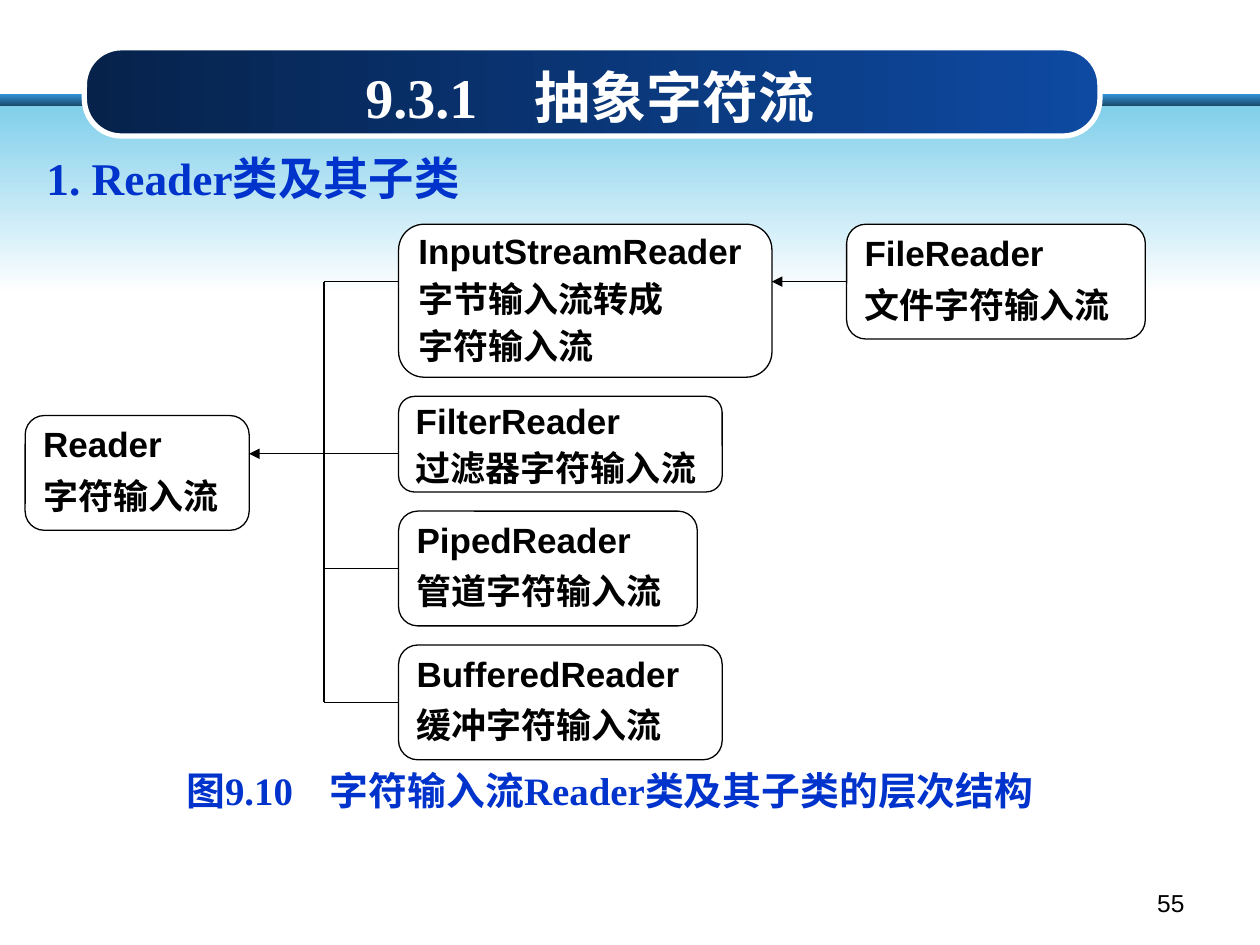
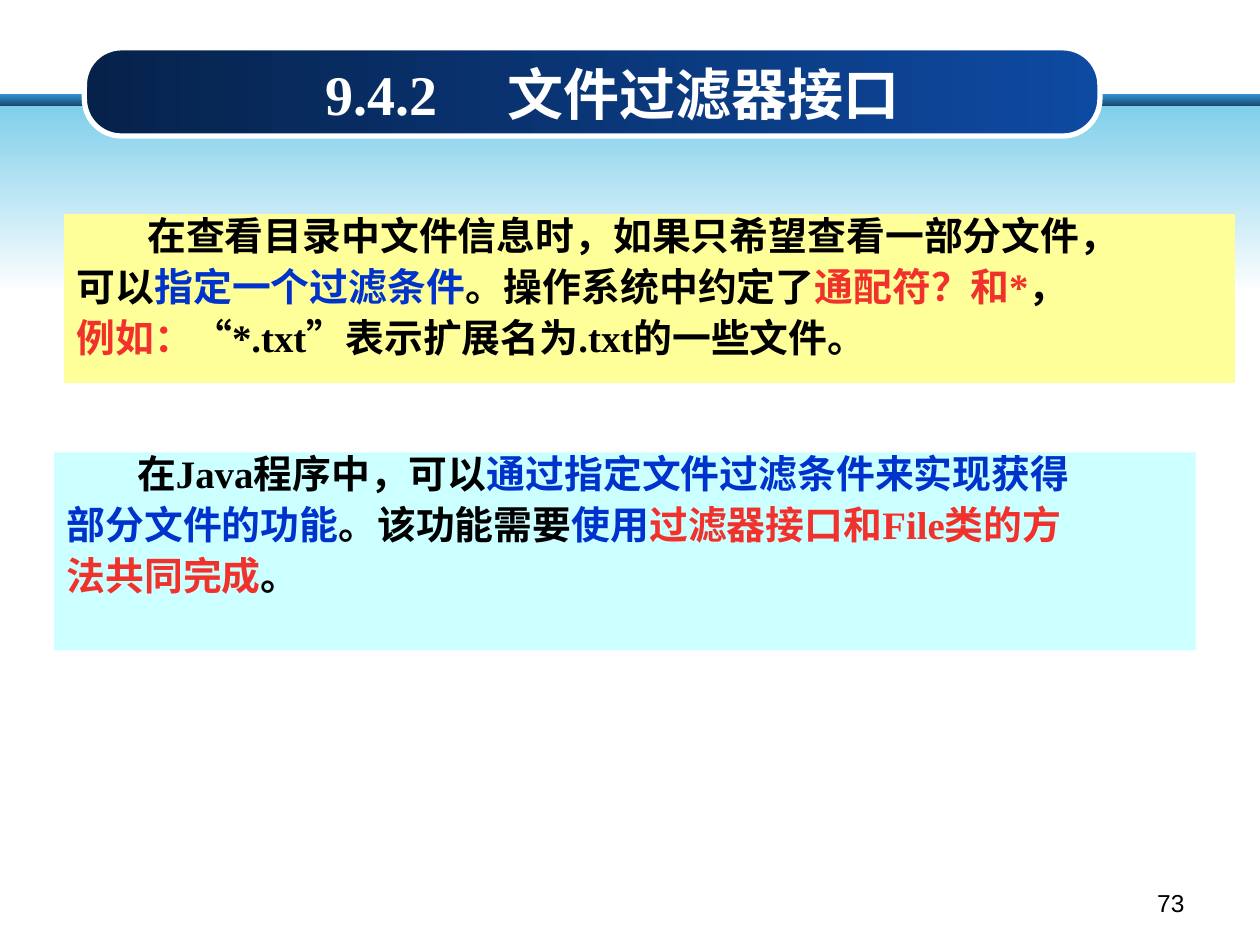
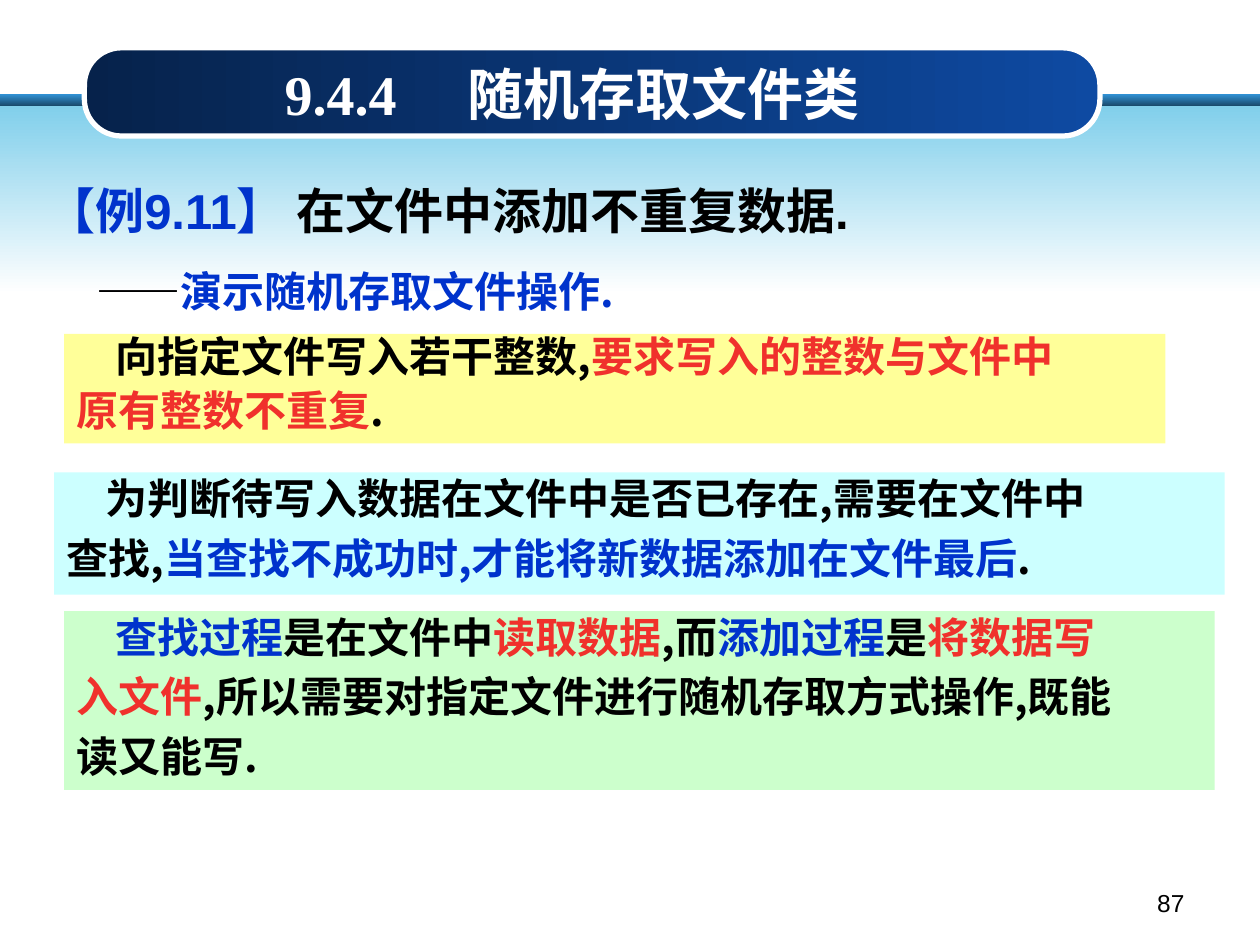
import dataclasses

import pptx
import pptx.dml.color
import pptx.enum.shapes
import pptx.enum.text
import pptx.oxml.ns
import pptx.util
from lxml import etree

COLORS = {
    "ink": "000000", "white": "FFFFFF", "blue": "0033CC", "red": "F0312C",
    "yellow": "FFFF99", "cyan": "CCFFFF", "green": "CCFFCC",
    "rule_top": "3191D3", "rule_bottom": "174362", "sky": "81CFEB",
    "navy": "06224B", "royal": "0E4AA2",
}
SERIF, SANS, CJK = "Times New Roman", "Arial", "Noto Sans CJK SC"
SHAPES = pptx.enum.shapes.MSO_SHAPE
ANCHOR = pptx.enum.text.MSO_ANCHOR


@dataclasses.dataclass
class Grid:
    """A box in inches divided into equal columns and rows."""
    left: float
    top: float
    width: float
    height: float
    columns: int
    rows: int

    def point(self, column, row):
        """Return the position of a grid crossing."""
        return (pptx.util.Inches(self.left + column * self.width / self.columns),
                pptx.util.Inches(self.top + row * self.height / self.rows))

    def box(self, column, row, across, down):
        """Return left, top, width and height of a block of cells."""
        left, top = self.point(column, row)
        right, bottom = self.point(column + across, row + down)
        return left, top, right - left, bottom - top


PAGE = Grid(0, 0, 10, 7.5, 100, 75)
DIAGRAM = Grid(0.2, 1.78, 8.89, 4.25, 45, 28)


def rgb(name):
    """Return a named colour."""
    return pptx.dml.color.RGBColor.from_string(COLORS[name])


def set_tab(para, inches):
    """Give a paragraph one left tab stop."""
    props = para._p.get_or_add_pPr()
    stops = etree.SubElement(props, pptx.oxml.ns.qn("a:tabLst"))
    etree.SubElement(stops, pptx.oxml.ns.qn("a:tab"),
                     pos=str(pptx.util.Inches(inches)), algn="l")


def write(frame, lines, size, font, bold=True, spacing=None, before=0,
          indent=0, tab=None, anchor=ANCHOR.TOP, align="LEFT"):
    """Fill a text frame with lines made of (text, colour) spans."""
    frame.word_wrap = True
    frame.auto_size = pptx.enum.text.MSO_AUTO_SIZE.NONE
    frame.vertical_anchor = anchor
    for number, spans in enumerate(lines):
        para = frame.add_paragraph() if number else frame.paragraphs[0]
        para.alignment = pptx.enum.text.PP_ALIGN[align]
        para.space_before = pptx.util.Pt(before)
        if spacing:
            para.line_spacing = spacing
        if tab:
            set_tab(para, tab)
        if indent and number == 0:
            props = para._p.get_or_add_pPr()
            props.set("marL", "0")
            props.set("indent", str(pptx.util.Inches(indent)))
        for text, color in spans:
            span = para.add_run()
            span.text = text
            span.font.size = pptx.util.Pt(size)
            span.font.bold = bold
            span.font.name = font
            span.font.color.rgb = rgb(color)
            etree.SubElement(span._r.get_or_add_rPr(),
                             pptx.oxml.ns.qn("a:ea"), typeface=CJK)


def add_block(slide, box, fill, kind=SHAPES.RECTANGLE, line=None, width=0.75):
    """Add a shape with a flat fill or a (from, to, angle) gradient."""
    shape = slide.shapes.add_shape(kind, *box)
    shape.shadow.inherit = False
    if isinstance(fill, tuple):
        *ends, angle = fill
        shape.fill.gradient()
        shape.fill.gradient_angle = angle
        for stop, color in zip(shape.fill.gradient_stops, ends):
            stop.color.rgb = rgb(color)
    else:
        shape.fill.solid()
        shape.fill.fore_color.rgb = rgb(fill)
    if line:
        shape.line.color.rgb = rgb(line)
        shape.line.width = pptx.util.Pt(width)
    else:
        shape.line.fill.background()
    return shape


def add_text(slide, box, lines, size, font, **style):
    """Add a text box."""
    write(slide.shapes.add_textbox(*box).text_frame, lines, size, font, **style)


def add_panel(slide, box, fill, lines, size, font, **style):
    """Add a coloured panel of text."""
    write(add_block(slide, box, fill).text_frame, lines, size, font,
          before=8, **style)


def decorate_layout(slide, layout):
    """Put the shared bands and title capsule on the layout."""
    capsule = add_block(slide, PAGE.box(6.7, 3.8, 80.6, 7), ("navy", "royal", 0),
                        SHAPES.ROUNDED_RECTANGLE, "white", 3)
    capsule.adjustments[0] = 0.42
    bands = [
        add_block(slide, PAGE.box(0, 7.5, 100, 1), ("rule_top", "rule_bottom", 270)),
        add_block(slide, PAGE.box(0, 8.4, 100, 14.9), ("sky", "white", 270)),
        capsule,
    ]
    for index, shape in enumerate(bands, start=2):
        layout.shapes.element.insert(index, shape.element)


def add_page(deck, layout, title, left, tab, number, height=7):
    """Add a slide with its title and page number."""
    slide = deck.slides.add_slide(layout)
    heading = slide.shapes.title
    heading.left, heading.top, heading.width, heading.height = PAGE.box(
        left, 3.6, 55, height)
    write(heading.text_frame, [[(title, "white")]], 32, SERIF,
          tab=tab, anchor=ANCHOR.BOTTOM)
    add_text(slide, PAGE.box(71.7, 70, 23.3, 3.5), [[(number, "ink")]], 14, SANS,
             bold=False, align="RIGHT")
    return slide


def add_line(slide, start, end, arrow=False):
    """Add a thin line, with an arrowhead at its end if asked."""
    line = slide.shapes.add_connector(
        pptx.enum.shapes.MSO_CONNECTOR.STRAIGHT, *start, *end)
    line.line.color.rgb = rgb("ink")
    line.line.width = pptx.util.Pt(0.75)
    if arrow:
        etree.SubElement(line.line._get_or_add_ln(),
                         pptx.oxml.ns.qn("a:tailEnd"), type="triangle")
    etree.SubElement(line.element.spPr, pptx.oxml.ns.qn("a:effectLst"))
    return line


def add_class(slide, grid, cells, spacing, *lines):
    """Add one class box of the hierarchy."""
    shape = add_block(slide, grid.box(*cells), "white",
                      SHAPES.ROUNDED_RECTANGLE, "ink")
    write(shape.text_frame, [[(line, "ink")] for line in lines], 20, SANS,
          spacing=spacing, before=8)
    return shape


def add_hierarchy(slide, grid):
    """Draw the Reader class tree in the given grid."""
    trunk, children = 12, 15
    add_class(slide, grid, (0, 10, 9, 6), 0.9, "Reader", "字符输入流")
    add_class(slide, grid, (children, 0, 15, 8), 0.8,
              "InputStreamReader", "字节输入流转成", "字符输入流")
    add_class(slide, grid, (children, 9, 13, 5), 0.8,
              "FilterReader", "过滤器字符输入流")
    piped = add_class(slide, grid, (children, 15, 12, 6), 0.9,
                      "PipedReader", "管道字符输入流")
    buffered = add_class(slide, grid, (children, 22, 13, 6), 0.9,
                         "BufferedReader", "缓冲字符输入流")
    file_reader = add_class(slide, grid, (33, 0, 12, 6), 0.9,
                            "FileReader", "文件字符输入流")
    for row, child in ((3, None), (12, None), (18, piped), (25, buffered)):
        branch = add_line(slide, grid.point(trunk, row), grid.point(children, row))
        if child:
            branch.end_connect(child, 1)
    add_line(slide, grid.point(trunk, 25), grid.point(trunk, 3))
    add_line(slide, grid.point(trunk, 12), grid.point(9, 12), arrow=True)
    derived = add_line(slide, grid.point(33, 3), grid.point(30, 3), arrow=True)
    derived.begin_connect(file_reader, 1)


def fill_reader_page(slide):
    """Add heading, class tree and caption."""
    add_text(slide, PAGE.box(2.7, 12.3, 41, 4.7), [[("1. Reader类及其子类", "blue")]],
             25.9, SERIF, spacing=0.8, before=8)
    add_hierarchy(slide, DIAGRAM)
    add_text(slide, PAGE.box(13.8, 61.1, 74.8, 4.7),
             [[("图9.10\t字符输入流Reader类及其子类的层次结构", "blue")]],
             22.2, SERIF, spacing=0.8, before=8, tab=1.14)


def fill_filter_page(slide):
    """Add the two panels about file filters."""
    style = dict(size=22.2, font=SERIF, spacing=0.8, indent=0.56)
    add_panel(slide, PAGE.box(5.1, 17, 92.9, 13.4), "yellow", [
        [("在查看目录中文件信息时，如果只希望查看一部分文件，", "ink")],
        [("可以", "ink"), ("指定一个过滤条件", "blue"), ("。操作系统中约定了", "ink"),
         ("通配符？和*", "red"), ("，", "ink")],
        [("例如：", "red"), ("“*.txt”表示扩展名为.txt的一些文件。", "ink")],
    ], **style)
    add_panel(slide, PAGE.box(4.3, 35.9, 90.6, 15.7), "cyan", [
        [("在Java程序中，可以", "ink"), ("通过指定文件过滤条件来实现获得", "blue")],
        [("部分文件的功能", "blue"), ("。该功能需要", "ink"), ("使用", "blue"),
         ("过滤器接口和File类的方", "red")],
        [("法共同完成", "red"), ("。", "ink")],
    ], **style)


def fill_random_access_page(slide):
    """Add the example heading and its three panels."""
    style = dict(size=24, font=CJK, indent=0.31)
    add_text(slide, PAGE.box(2.7, 14.7, 72.4, 4.8),
             [[("【例9.11】 ", "blue"), ("在文件中添加不重复数据.", "ink")]],
             28, SANS, anchor=ANCHOR.BOTTOM)
    add_text(slide, PAGE.box(6.7, 21, 45.7, 5.5),
             [[("——", "ink"), ("演示随机存取文件操作.", "blue")]],
             24, CJK, spacing=0.9, before=8)
    add_panel(slide, PAGE.box(5.1, 26.5, 87.4, 8.7), "yellow", [
        [("向指定文件写入若干整数,", "ink"), ("要求写入的整数与文件中", "red")],
        [("原有整数不重复", "red"), (".", "ink")],
    ], spacing=0.8, **style)
    add_panel(slide, PAGE.box(4.3, 37.5, 92.9, 9.7), "cyan", [
        [("为判断待写入数据在文件中是否已存在,需要在文件中", "ink")],
        [("查找,", "ink"), ("当查找不成功时,才能将新数据添加在文件最后", "blue"),
         (".", "ink")],
    ], spacing=0.9, **style)
    add_panel(slide, PAGE.box(5.1, 48.5, 91.3, 14.2), "green", [
        [("查找过程", "blue"), ("是在文件中", "ink"), ("读取数据", "red"), (",而", "ink"),
         ("添加过程", "blue"), ("是", "ink"), ("将数据写", "red")],
        [("入文件", "red"), (",所以需要对指定文件进行随机存取方式操作,既能", "ink")],
        [("读又能写.", "ink")],
    ], spacing=0.9, **style)


def main():
    """Build and save the deck."""
    deck = pptx.Presentation()
    deck.slide_width = pptx.util.Inches(PAGE.width)
    deck.slide_height = pptx.util.Inches(PAGE.height)
    layout = deck.slide_layouts.get_by_name("Title Only")
    reader = add_page(deck, layout, "9.3.1\t抽象字符流", 28, 1.34, "55", 7.2)
    decorate_layout(reader, layout)
    fill_reader_page(reader)
    fill_filter_page(
        add_page(deck, layout, "9.4.2\t文件过滤器接口", 24.8, 1.45, "73"))
    fill_random_access_page(
        add_page(deck, layout, "9.4.4\t随机存取文件类", 21.6, 1.45, "87"))
    deck.save("out.pptx")


if __name__ == "__main__":
    main()
